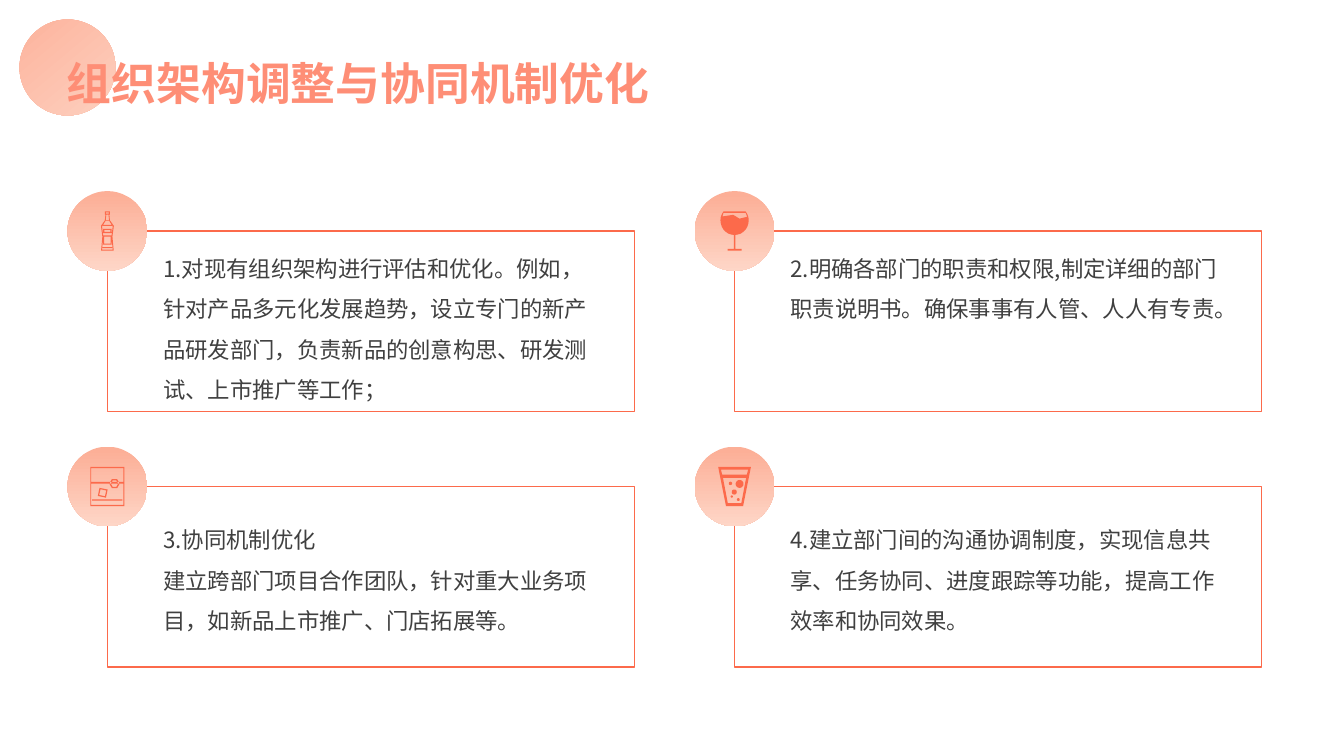
import math

import pptx
import pptx.dml.color
import pptx.enum.shapes
import pptx.enum.text
import pptx.oxml
import pptx.oxml.ns
import pptx.util

Pt = pptx.util.Pt
FORMS = pptx.enum.shapes.MSO_SHAPE
FONT = "Noto Sans CJK SC"
HUES = {
    "accent": "FC6A4B",
    "title": "FE8E76",
    "peach": "FCAF97",
    "pale": "FED6C7",
    "text": "404040",
}
LEFT, TOP = 76.7, 165
STEP_X, STEP_Y = 448, 182.5
WIDTH, HEIGHT = 376.5, 129
DISC = 57
UNIT = 0.1

CARDS = [
    (4.2, 121, "bottle", ["1.对现有组织架构进行评估和优化。例如，针对产品多元化发展趋势，设立专门的新产品研发部门，负责新品的创意构思、研发测试、上市推广等工作；"]),
    (4.2, 63, "wine", ["2.明确各部门的职责和权限,制定详细的部门职责说明书。确保事事有人管、人人有专责。"]),
    (15.4, 92, "whisky", ["3.协同机制优化", "建立跨部门项目合作团队，针对重大业务项目，如新品上市推广、门店拓展等。"]),
    (15.4, 92, "soda", ["4.建立部门间的沟通协调制度，实现信息共享、任务协同、进度跟踪等功能，提高工作效率和协同效果。"]),
]


def rgb(name):
    return pptx.dml.color.RGBColor.from_string(HUES[name])


def mirror(*half):
    return list(half) + [(-x, y) for x, y in reversed(half)]


def band(wide, top, low, base=None):
    return mirror((wide, top), (wide if base is None else base, low))


def ring(x, y, size, count=20, tilt=0):
    turns = [math.tau * i / count + tilt for i in range(count)]
    return [(x + size * math.cos(t), y + size * math.sin(t)) for t in turns]


def bottle():
    body = mirror((18, -76), (46, -36), (36, 40), (45, 140))
    core = mirror((13, -72), (38, -32), (29, 40), (38, 133))
    return [
        body, core,
        band(18, -140, -117), band(10, -133, -123),
        band(14, -117, -76, 18), band(8, -117, -76, 12),
        band(30, 32, 97), band(23, 40, 90),
        band(30, -15, 15), band(22, -7, 7),
        band(36, -44, -37), band(34, 115, 122),
    ]


def wine():
    turns = [-0.67 + (math.pi + 1.34) * i / 20 for i in range(21)]
    bowl = [(101 * math.cos(t), 104 * math.sin(t) - 75) for t in turns]
    space = [(-79, -130), (79, -130), (90, -101), (35, -88), (-10, -115), (-86, -104)]
    return [bowl, space, band(5, 29, 128), band(50, 128, 140)]


def whisky():
    return [
        band(122, -140, 140), band(115, -130, -32), band(115, -20, 131),
        band(108, 92, 102),
        ring(51, -20, 37, 6), ring(51, -20, 26, 6),
        ring(-33, 45, 42, 4, 1), ring(-33, 45, 30, 4, 1),
    ]


def soda():
    return [
        band(117, -140, 140, 61), band(97, -120, -84, 88), band(83, -62, 120, 48),
        ring(36, -18, 28), ring(-2, 40, 18), ring(-29, -22, 12),
        ring(27, 94, 10), ring(-20, 72, 8),
    ]


ICONS = {"bottle": bottle, "wine": wine, "whisky": whisky, "soda": soda}


def shade(fill, stops, angle):
    fill.gradient()
    fill.gradient_angle = angle
    for stop, (place, name) in zip(fill.gradient_stops, stops):
        stop.position = place
        stop.color.rgb = rgb(name)


def add_disc(shapes, x, y, size, turn=0):
    disc = shapes.add_shape(FORMS.OVAL, Pt(x - size / 2), Pt(y - size / 2), Pt(size), Pt(size))
    disc.shadow.inherit = False
    shade(disc.fill, [(0.04, "peach"), (1, "pale")], 270)
    disc.line.fill.background()
    disc.rotation = turn


def add_frame(shapes, x, y):
    frame = shapes.add_shape(FORMS.RECTANGLE, Pt(x), Pt(y), Pt(WIDTH), Pt(HEIGHT))
    frame.shadow.inherit = False
    frame.fill.background()
    frame.line.color.rgb = rgb("accent")
    frame.line.width = Pt(1)


def add_icon(shapes, x, y, loops):
    first = loops[0]
    pen = shapes.build_freeform(*first[0], scale=Pt(UNIT))
    pen.add_line_segments(first[1:])
    for loop in loops[1:]:
        pen.move_to(*loop[0])
        pen.add_line_segments(loop[1:])
    icon = pen.convert_to_shape(Pt(x), Pt(y))
    icon.shadow.inherit = False
    icon.fill.solid()
    icon.fill.fore_color.rgb = rgb("accent")
    icon.line.fill.background()


def add_text(shapes, x, y, width, height, lines, size, space=1.0):
    box = shapes.add_textbox(Pt(x), Pt(y), Pt(width), Pt(height))
    frame = box.text_frame
    frame.word_wrap = True
    frame.auto_size = pptx.enum.text.MSO_AUTO_SIZE.SHAPE_TO_FIT_TEXT
    for i, line in enumerate(lines):
        para = frame.paragraphs[0] if i == 0 else frame.add_paragraph()
        para.line_spacing = space
        run = para.add_run()
        run.text = line
        run.font.size = Pt(size)
        run.font.color.rgb = rgb("text")
        run.font.name = FONT
        east = pptx.oxml.parse_xml(f'<a:ea {pptx.oxml.ns.nsdecls("a")} typeface="{FONT}"/>')
        run.font._element.append(east)
    return frame


def add_title(shapes):
    add_disc(shapes, 48.2, 48.2, 68.5, 320)
    frame = add_text(shapes, 40.6, 36, 461.5, 46, ["组织架构调整与协同机制优化"], 32)
    font = frame.paragraphs[0].runs[0].font
    font.bold = True
    shade(font.fill, [(0, "title"), (1, "accent")], 144)


def add_card(slide, x, y, drop, height, icon, lines):
    shapes = slide.shapes.add_group_shape().shapes
    add_frame(shapes, x, y)
    add_disc(shapes, x, y, DISC)
    add_icon(shapes, x, y, ICONS[icon]())
    add_text(shapes, x + 32.8, y + drop, 325.5, height, lines, 16, 1.5)


def main():
    deck = pptx.Presentation()
    deck.slide_width, deck.slide_height = Pt(960), Pt(540)
    slide = deck.slides.add_slide(deck.slide_layouts[6])
    add_title(slide.shapes)
    for i, card in enumerate(CARDS):
        row, col = divmod(i, 2)
        add_card(slide, LEFT + col * STEP_X, TOP + row * STEP_Y, *card)
    deck.save("out.pptx")


if __name__ == "__main__":
    main()
